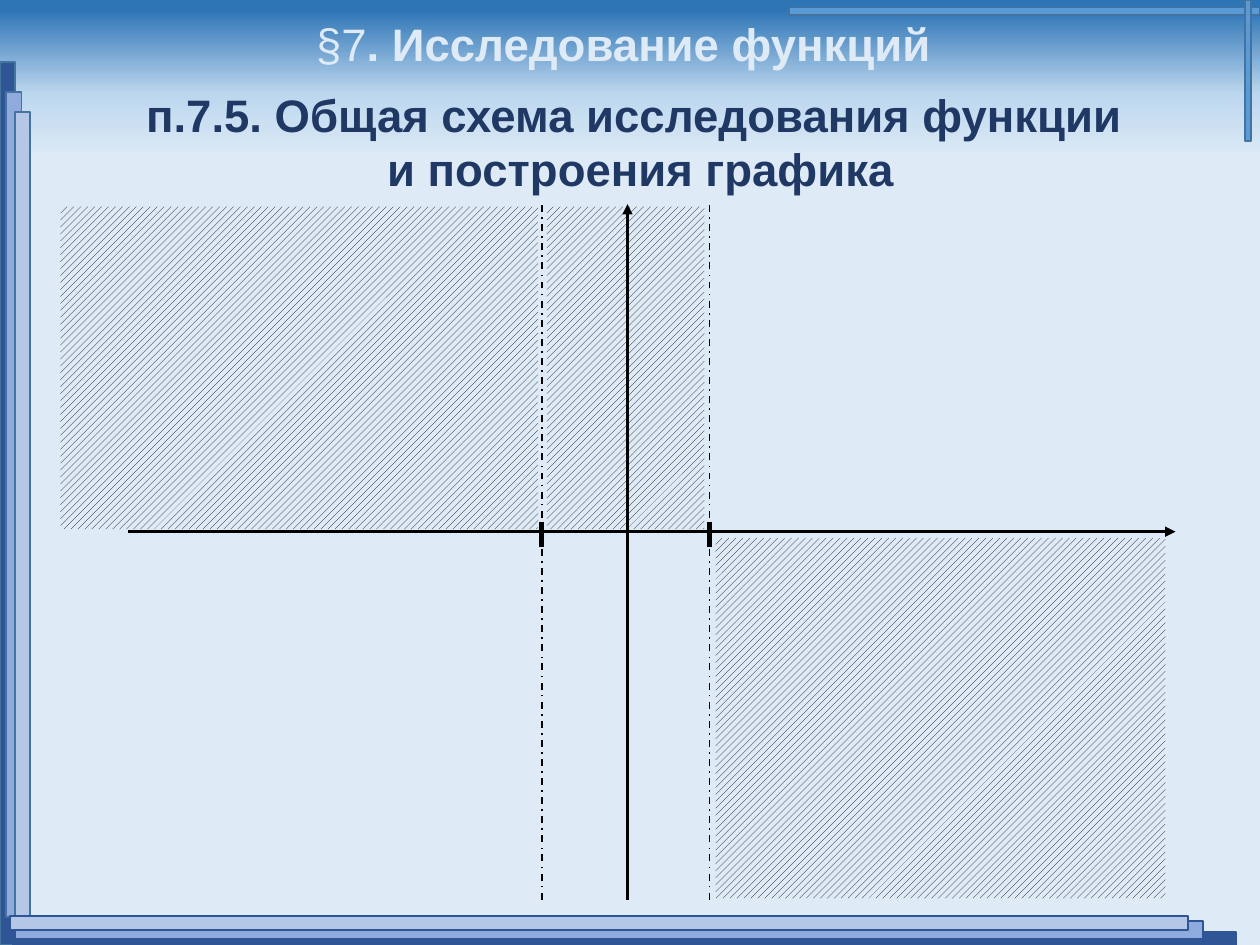
"""Build the slide on the general scheme of studying a function."""
from lxml import etree
from pptx import Presentation
from pptx.dml.color import RGBColor
from pptx.enum import dml, shapes, text
from pptx.oxml.ns import qn
from pptx.util import Inches, Pt

SKY = [(1, "2E75B6"), (10, "BDD7EE"), (17, "DEEBF7")]
PALE, NAVY, INK = "DEEBF7", "203864", "000000"
HATCH = [(5.68, 4.27, 3.57, 2.86), (4.34, 1.64, 1.25, 2.56), (0.48, 1.64, 3.79, 2.56)]
BARS = [
    ((0, 0.49, 0.12, 7.01), "2F5597", "43739E"),
    ((0.05, 0.73, 0.12, 6.55), "8FAADC", "43739E"),
    ((0.12, 0.89, 0.12, 6.61), "B4C7E7", "43739E"),
    ((0.1, 7.4, 9.71, 0.1), "2F5597", "2F5597"),
    ((0.12, 7.31, 9.43, 0.14), "8FAADC", "2F5597"),
    ((0.08, 7.27, 9.35, 0.11), "B4C7E7", "2F5597"),
    ((6.26, 0.06, 3.74, 0.06), "5B9BD5", "43739E"),
    ((9.88, 0, 0.05, 1.12), "5B9BD5", "43739E"),
]
TITLES = [
    ((1.02, 0.64, 8.13, 0.98), False, NAVY,
     [("п.7.5. Общая схема исследования функции \vи построения графика", True)]),
    ((-0.15, 0.08, 10.2, 0.54), True, PALE,
     [("§7", False), (". Исследование функций", True)]),
]
TOP, BASE, AXIS = 1.62, 7.14, 4.22
LEFT, RIGHT, MID = 1.02, 9.33, 4.98
POLES = [4.3, 5.63]


def tint(code):
    return RGBColor.from_string(code)


def block(box):
    rect = slide.shapes.add_shape(shapes.MSO_SHAPE.RECTANGLE, *map(Inches, box))
    rect.shadow.inherit = False
    return rect


def rule(start, end, width, arrow=False, dash=None):
    line = slide.shapes.add_connector(
        shapes.MSO_CONNECTOR.STRAIGHT, *map(Inches, start + end))
    line.line.color.rgb = tint(INK)
    line.line.width = Pt(width)
    if dash:
        line.line.dash_style = dash
    if arrow:
        etree.SubElement(line.line._get_or_add_ln(), qn("a:tailEnd"), type="triangle")
    etree.SubElement(line._element.spPr, qn("a:effectLst"))


deck = Presentation()
deck.slide_width, deck.slide_height = Inches(10), Inches(7.5)
slide = deck.slides.add_slide(deck.slide_layouts[6])

back = slide.background.fill
back.gradient()
back.gradient_angle = 270
stops = slide._element.find(".//" + qn("a:gsLst"))
for stop in list(stops):
    stops.remove(stop)
for pos, code in SKY:
    stop = etree.SubElement(stops, qn("a:gs"), pos=str(pos * 1000))
    etree.SubElement(stop, qn("a:srgbClr"), val=code)

for box in HATCH:
    rect = block(box)
    rect.fill.patterned()
    rect.fill.pattern = dml.MSO_PATTERN.WIDE_UPWARD_DIAGONAL
    rect.fill.fore_color.rgb = tint(INK)
    rect.fill.back_color.rgb = tint(PALE)
    rect.line.fill.background()

for box, fill, edge in BARS:
    rect = block(box)
    rect.fill.solid()
    rect.fill.fore_color.rgb = tint(fill)
    rect.line.color.rgb = tint(edge)
    rect.line.width = Pt(1)

for box, wrap, code, parts in TITLES:
    frame = slide.shapes.add_textbox(*map(Inches, box)).text_frame
    frame.word_wrap = wrap
    frame.auto_size = text.MSO_AUTO_SIZE.SHAPE_TO_FIT_TEXT
    para = frame.paragraphs[0]
    para.alignment = text.PP_ALIGN.CENTER
    if len(parts) == 1:
        para.text, para.font.bold = parts[0]
    else:
        for words, bold in parts:
            run = para.add_run()
            run.text, run.font.bold = words, bold
    para.font.name, para.font.size = "Arial", Pt(26)
    para.font.color.rgb = tint(code)

rule((MID, BASE), (MID, TOP), 1.5, arrow=True)
rule((LEFT, AXIS), (RIGHT, AXIS), 1.5, arrow=True)
for x in POLES:
    rule((x, 4.14), (x, 4.34), 3)
    rule((x, BASE), (x, TOP), 1, dash=dml.MSO_LINE.DASH_DOT)

deck.save("out.pptx")
